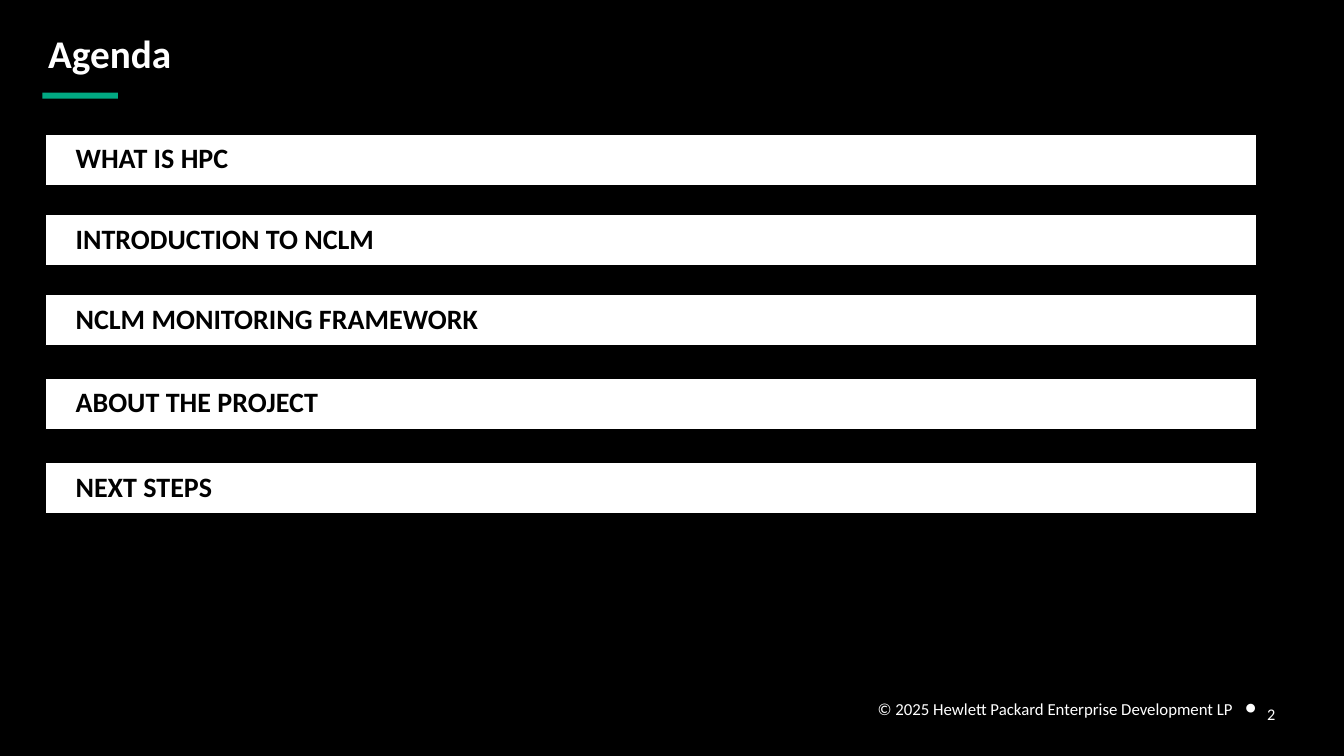
from dataclasses import dataclass

from lxml import etree
from pptx import Presentation
from pptx import util as u
from pptx.dml.color import RGBColor
from pptx.enum import shapes, text
from pptx.oxml import ns

BLACK = RGBColor(0x00, 0x00, 0x00)
WHITE = RGBColor(0xFF, 0xFF, 0xFF)
GREEN = RGBColor(0x01, 0xA9, 0x82)


@dataclass(frozen=True)
class Box:
    left: float
    top: float
    width: float
    height: float

    def lengths(self) -> list[u.Length]:
        return [u.Inches(v) for v in (self.left, self.top, self.width, self.height)]


@dataclass(frozen=True)
class Style:
    size: int
    color: RGBColor = WHITE
    bold: bool = False
    anchor: text.MSO_ANCHOR = text.MSO_ANCHOR.MIDDLE
    align: text.PP_ALIGN = text.PP_ALIGN.LEFT
    side_inset: float = 0.1
    end_inset: float = 0.1


@dataclass(frozen=True)
class AgendaItem:
    top: float
    label: str


TITLE = Style(28, bold=True)
AGENDA = Style(20, BLACK, bold=True, side_inset=0.3)
FOOTER = Style(12, anchor=text.MSO_ANCHOR.BOTTOM, align=text.PP_ALIGN.RIGHT, end_inset=0)
PAGE_NUMBER = Style(20, end_inset=0.05)

AGENDA_ITEMS = [
    AgendaItem(1.33, "WHAT IS HPC"),
    AgendaItem(2.13, "INTRODUCTION TO NCLM"),
    AgendaItem(2.92, "NCLM MONITORING FRAMEWORK"),
    AgendaItem(3.75, "ABOUT THE PROJECT"),
    AgendaItem(4.59, "NEXT STEPS"),
]


def write(shape, content: str, style: Style):
    """Fill a shape with one styled paragraph and return that paragraph."""
    frame = shape.text_frame
    frame.word_wrap = True
    frame.vertical_anchor = style.anchor
    frame.margin_left = frame.margin_right = u.Inches(style.side_inset)
    frame.margin_top = frame.margin_bottom = u.Inches(style.end_inset)
    paragraph = frame.paragraphs[0]
    paragraph.text = content
    paragraph.alignment = style.align
    paragraph.line_spacing = 0.9
    paragraph.font.name = "Calibri"
    paragraph.font.size = u.Pt(style.size)
    paragraph.font.bold = style.bold
    paragraph.font.color.rgb = style.color
    return paragraph


def add_text(slide, box: Box, content: str, style: Style):
    return write(slide.shapes.add_textbox(*box.lengths()), content, style)


def add_bar(slide, box: Box, color: RGBColor):
    bar = slide.shapes.add_shape(shapes.MSO_SHAPE.RECTANGLE, *box.lengths())
    bar.shadow.inherit = False
    bar.fill.solid()
    bar.fill.fore_color.rgb = color
    bar.line.fill.background()
    return bar


def add_agenda_bar(slide, item: AgendaItem) -> None:
    bar = add_bar(slide, Box(0.45, item.top, 12.01, 0.51), WHITE)
    bar.line.color.rgb = BLACK
    bar.line.width = u.Pt(1)
    write(bar, item.label, AGENDA)


def add_page_number(slide, box: Box, number: str) -> None:
    shape = slide.shapes.add_textbox(*box.lengths())
    # Bullet and hanging indent
    properties = shape.text_frame.paragraphs[0]._p.get_or_add_pPr()
    indent = u.Inches(0.22)
    properties.set("marL", str(indent))
    properties.set("indent", str(-indent))
    etree.SubElement(properties, ns.qn("a:buSzPct")).set("val", "120000")
    etree.SubElement(properties, ns.qn("a:buChar")).set("char", "•")
    # Raised digit
    paragraph = write(shape, number, PAGE_NUMBER)
    paragraph.runs[0]._r.get_or_add_rPr().set("baseline", "10000")


def main() -> None:
    presentation = Presentation()
    presentation.slide_width = u.Inches(13.33)
    presentation.slide_height = u.Inches(7.5)
    slide = presentation.slides.add_slide(presentation.slide_layouts[6])
    slide.background.fill.solid()
    slide.background.fill.fore_color.rgb = BLACK

    # Title with its underline
    add_bar(slide, Box(0.42, 0.92, 0.75, 0.06), GREEN)
    add_text(slide, Box(0.38, 0.33, 12.57, 0.44), "Agenda", TITLE)

    # Agenda
    for item in AGENDA_ITEMS:
        add_agenda_bar(slide, item)

    # Footer
    add_page_number(slide, Box(12.25, 6.89, 0.75, 0.4), "2")
    add_text(slide, Box(7.83, 6.89, 4.5, 0.24),
             "© 2025 Hewlett Packard Enterprise Development LP", FOOTER)

    presentation.save("out.pptx")


if __name__ == "__main__":
    main()
